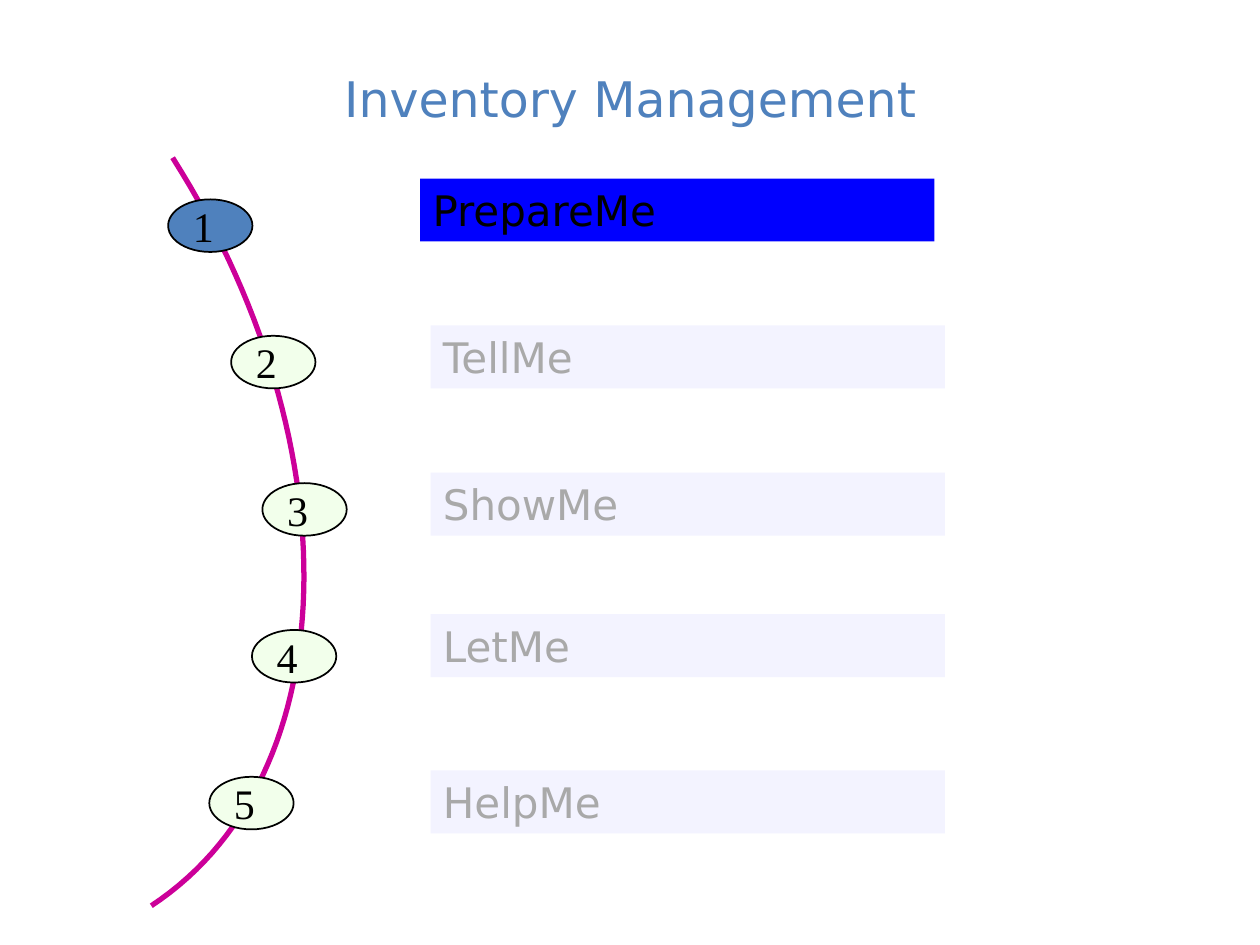
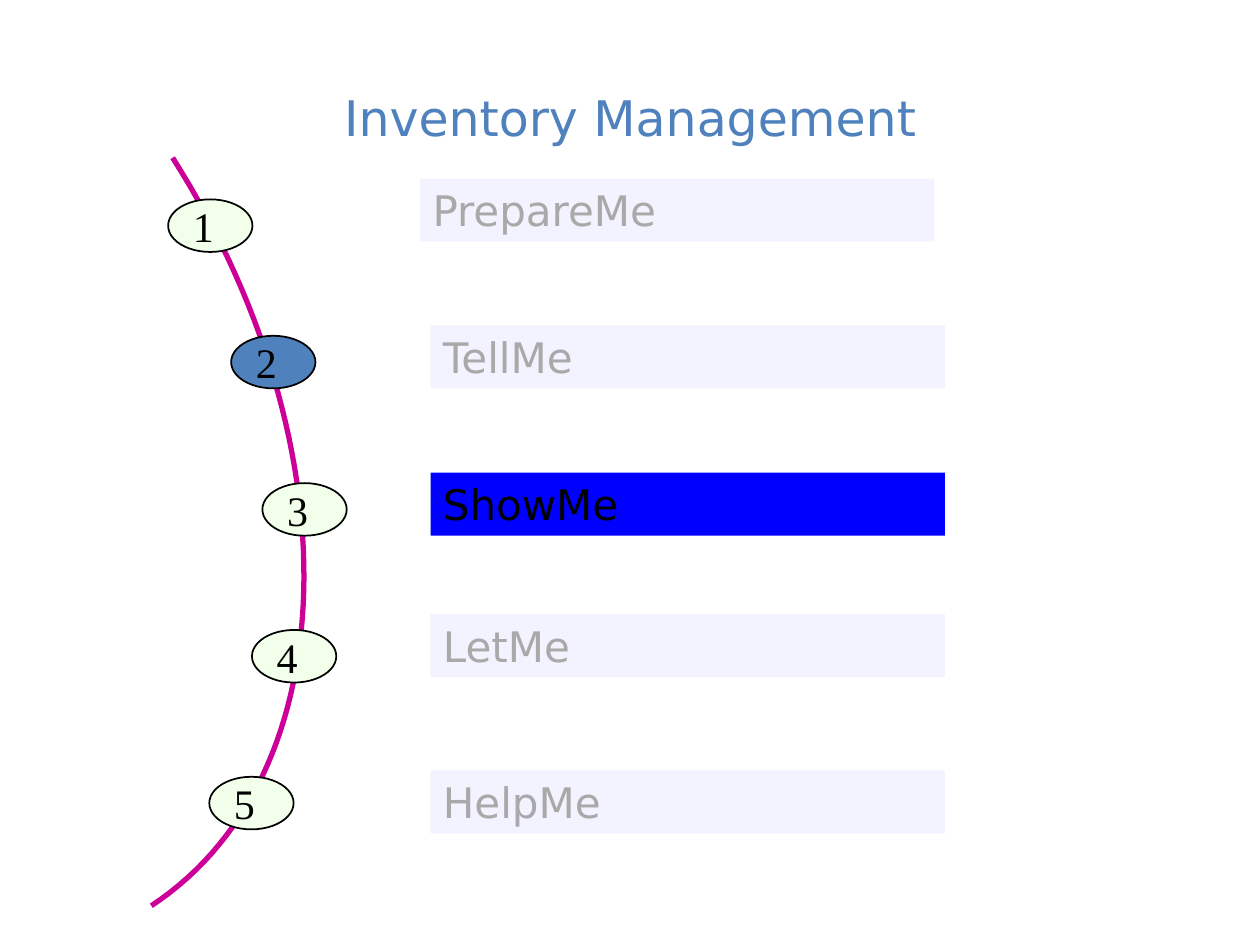
import pptx
import pptx.util
from pptx.dml.color import RGBColor
from pptx.enum.shapes import MSO_SHAPE
from pptx.enum.text import MSO_ANCHOR, MSO_AUTO_SIZE, PP_ALIGN

Cm, Pt = pptx.util.Cm, pptx.util.Pt

TITLE = "Inventory Management"
# label, (left, top) of the numbered oval, (left, top) of the bar, in cm
STEPS = [
    ("PrepareMe", (3.39, 4.02), (8.47, 3.6)),
    ("TellMe", (4.66, 6.77), (8.68, 6.56)),
    ("ShowMe", (5.29, 9.74), (8.68, 9.53)),
    ("LetMe", (5.08, 12.7), (8.68, 12.38)),
    ("HelpMe", (4.22, 15.66), (8.68, 15.53)),
]
SLIDES = [
    {"title_height": 2.41, "active_oval": 1, "active_bar": 1},
    {"title_height": 3.18, "active_oval": 2, "active_bar": 3},
]
ARC = [(3.48, 3.18), (7.16, 8.99), (6.99, 15.67), (3.05, 18.26)]
ARC_PARTS = 60
OVAL_SIZE = (1.7, 1.06)
BAR_SIZE = (10.37, 1.27)
SANS, SERIF = "DejaVu Sans", "Times New Roman"
COLORS = {
    "accent": "4F81BD",
    "arc": "CC0099",
    "oval": "F2FFEB",
    "bar": "F3F3FF",
    "active_bar": "0000FF",
    "muted": "A9A9A9",
    "black": "000000",
}


def color(name):
    return RGBColor.from_string(COLORS[name])


def write(tf, text, font, size, ink, align):
    p = tf.paragraphs[0]
    p.text = text
    p.alignment = align
    p.font.name = font
    p.font.size = Pt(size)
    p.font.color.rgb = color(ink)


def add_title(slide, height):
    sp = slide.shapes.title
    sp.left, sp.top, sp.width, sp.height = map(Cm, (1.27, 0.76, 22.86, height))
    sp.text_frame.vertical_anchor = MSO_ANCHOR.MIDDLE
    write(sp.text_frame, TITLE, SANS, 28, "accent", PP_ALIGN.CENTER)


def bezier(t):
    """Point of the cubic arc at t (0 to 1), as lengths."""
    weights = ((1 - t) ** 3, 3 * t * (1 - t) ** 2, 3 * t * t * (1 - t), t ** 3)
    return tuple(Cm(sum(w * c for w, c in zip(weights, axis))) for axis in zip(*ARC))


def add_arc(slide):
    points = [bezier(i / ARC_PARTS) for i in range(ARC_PARTS + 1)]
    builder = slide.shapes.build_freeform(*points[0])
    builder.add_line_segments(points[1:], close=False)
    sp = builder.convert_to_shape()
    sp.shadow.inherit = False
    sp.fill.background()
    sp.line.color.rgb = color("arc")
    sp.line.width = Pt(3)


def add_filled(slide, kind, corner, size, fill):
    sp = slide.shapes.add_shape(kind, *map(Cm, corner + size))
    sp.shadow.inherit = False
    sp.fill.solid()
    sp.fill.fore_color.rgb = color(fill)
    sp.text_frame.word_wrap = True
    return sp


def add_oval(slide, number, corner, active):
    sp = add_filled(slide, MSO_SHAPE.OVAL, corner, OVAL_SIZE,
                    "accent" if active else "oval")
    sp.line.color.rgb = color("black")
    sp.line.width = Pt(1)
    sp.text_frame.vertical_anchor = MSO_ANCHOR.MIDDLE
    write(sp.text_frame, str(number), SERIF, 24, "black", PP_ALIGN.LEFT)


def add_bar(slide, label, corner, active):
    sp = add_filled(slide, MSO_SHAPE.RECTANGLE, corner, BAR_SIZE,
                    "active_bar" if active else "bar")
    sp.line.fill.background()
    sp.text_frame.vertical_anchor = MSO_ANCHOR.TOP
    sp.text_frame.auto_size = MSO_AUTO_SIZE.SHAPE_TO_FIT_TEXT
    write(sp.text_frame, label, SANS, 24, "black" if active else "muted",
          PP_ALIGN.LEFT)


def main():
    prs = pptx.Presentation()
    prs.slide_width, prs.slide_height = Cm(25.4), Cm(19.05)
    for page in SLIDES:
        slide = prs.slides.add_slide(prs.slide_layouts[5])
        add_title(slide, page["title_height"])
        add_arc(slide)
        for number, (label, oval, bar) in enumerate(STEPS, 1):
            add_oval(slide, number, oval, number == page["active_oval"])
            add_bar(slide, label, bar, number == page["active_bar"])
    prs.save("out.pptx")


if __name__ == "__main__":
    main()
